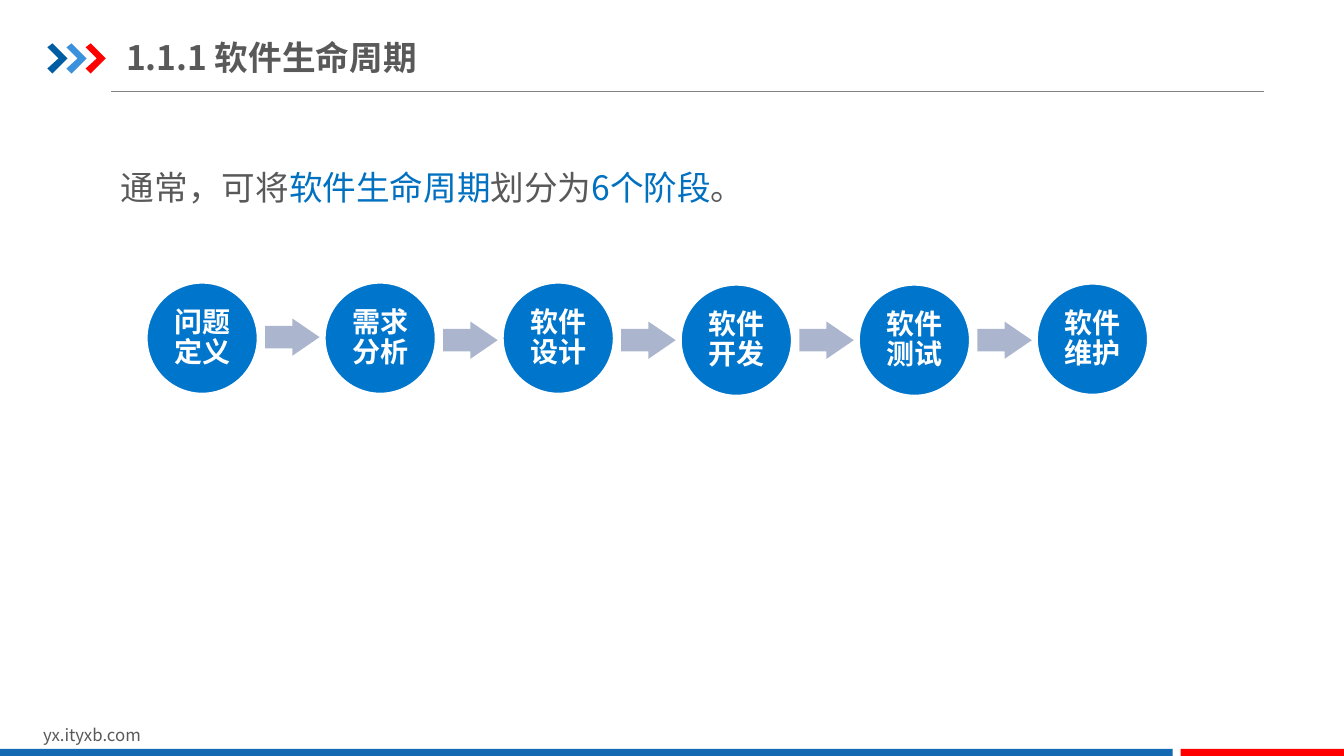
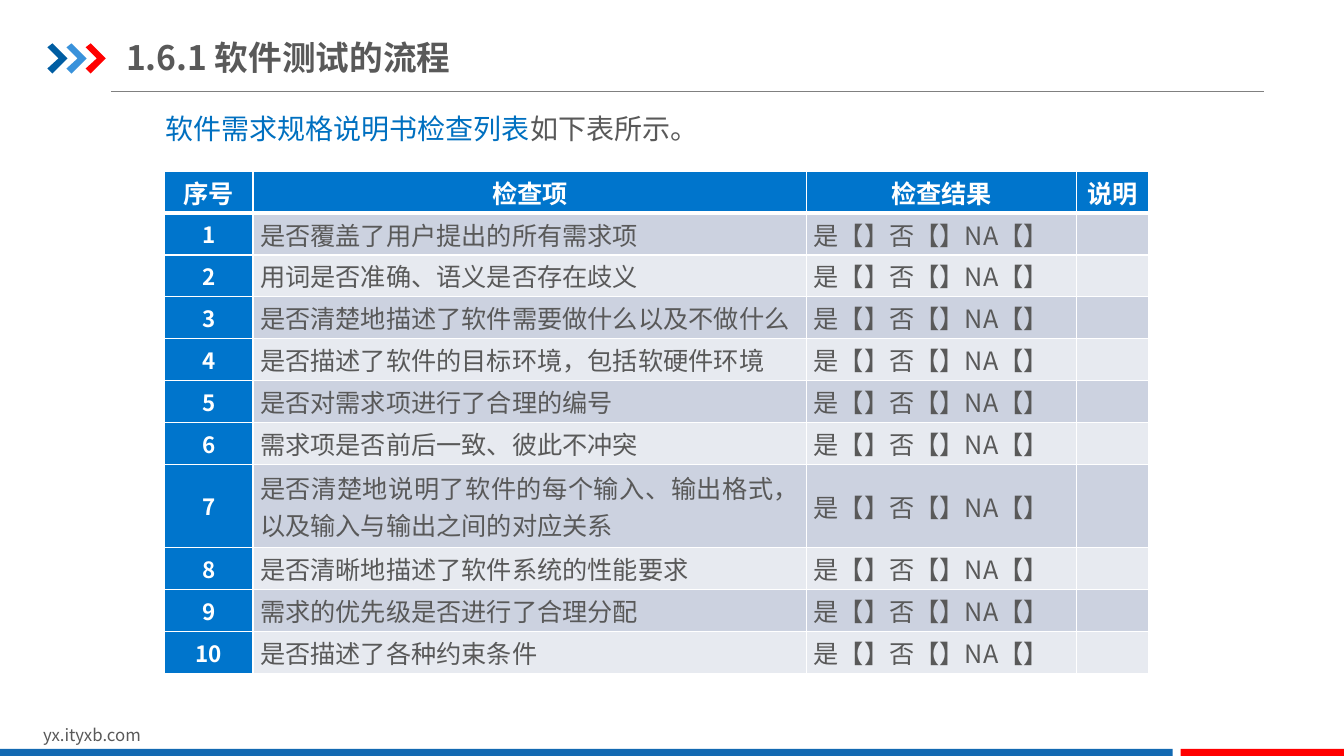
"""Build two slides on the software life cycle and the requirements checklist."""
from dataclasses import dataclass
from typing import Any

from lxml import etree
from pptx import Presentation
from pptx import slide as sl
from pptx import table as tb
from pptx import util as u
from pptx.dml import color as dc
from pptx.enum import shapes, text
from pptx.oxml import ns
from pptx.shapes import autoshape as au
from pptx.text import text as tx

FONT = "Noto Sans CJK SC"
COLORS = {
    "white": "FFFFFF", "text": "595959", "accent": "0070C0", "rule": "808080",
    "primary": "0075CC", "arrow": "ABB6CE", "band": "1369B2", "red": "FF0000",
    "navy": "005DA2", "sky": "3992DB", "odd": "CCD2E0", "even": "E7EAF0",
}
CHEVRON_COLORS = ("navy", "sky", "red")
CHEVRON_POINTS = ((0, 0.47), (0.05, 0.43), (0.2, 0.58), (0.05, 0.73), (0, 0.68), (0.11, 0.58))
CENTER, JUSTIFY = text.PP_ALIGN.CENTER, text.PP_ALIGN.JUSTIFY
MIDDLE = text.MSO_ANCHOR.MIDDLE
COLUMN_WIDTHS = (0.88, 5.49, 2.68, 0.71)
TABLE_HEIGHT = 4.98
HEADERS = ("序号", "检查项", "检查结果", "说明")
RESULT = "是【】否【】NA【】"
LONG_ITEM = "是否清楚地说明了软件的每个输入、输出格式，以及输入与输出之间的对应关系"
CHECK_ITEMS = (
    "是否覆盖了用户提出的所有需求项",
    "用词是否准确、语义是否存在歧义",
    "是否清楚地描述了软件需要做什么以及不做什么",
    "是否描述了软件的目标环境，包括软硬件环境",
    "是否对需求项进行了合理的编号",
    "需求项是否前后一致、彼此不冲突",
    LONG_ITEM,
    "是否清晰地描述了软件系统的性能要求",
    "需求的优先级是否进行了合理分配",
    "是否描述了各种约束条件",
)


@dataclass(frozen=True)
class Box:
    left: float
    top: float
    width: float
    height: float

    def lengths(self) -> tuple[u.Length, ...]:
        return tuple(map(u.Inches, (self.left, self.top, self.width, self.height)))


@dataclass(frozen=True)
class Run:
    words: str
    size: int
    color: str = "text"
    bold: bool = False


@dataclass(frozen=True)
class Stage:
    name: str
    top: float
    arrow_top: float | None = None


STAGES = (
    Stage("问题定义", 2.8, 3.16),
    Stage("需求分析", 2.8, 3.19),
    Stage("软件设计", 2.8, 3.19),
    Stage("软件开发", 2.82, 3.19),
    Stage("软件测试", 2.82, 3.19),
    Stage("软件维护", 2.81),
)
FOOTER_BANDS = ((Box(0, 7.43, 11.63, 0.09), "band"), (Box(11.71, 7.43, 1.63, 0.09), "red"))


def rgb(name: str) -> dc.RGBColor:
    return dc.RGBColor.from_string(COLORS[name])


def set_format(target: Any, **values: Any) -> None:
    for name, value in values.items():
        setattr(target, name, value)


def margins(horizontal: float, vertical: float) -> dict[str, u.Length]:
    return {
        "margin_left": u.Inches(horizontal), "margin_right": u.Inches(horizontal),
        "margin_top": u.Inches(vertical), "margin_bottom": u.Inches(vertical),
    }


def write(frame: tx.TextFrame, runs: tuple[Run, ...], **paragraph_format: Any) -> None:
    paragraph = frame.paragraphs[0]
    set_format(paragraph, **paragraph_format)
    for item in runs:
        run = paragraph.add_run()
        run.text = item.words
        set_format(run.font, name=FONT, size=u.Pt(item.size), bold=item.bold)
        run.font.color.rgb = rgb(item.color)
        east_asian = etree.Element(ns.qn("a:ea"), typeface=FONT)
        run.font._element.find(ns.qn("a:latin")).addnext(east_asian)


def add_text(slide: sl.Slide, box: Box, runs: tuple[Run, ...],
             frame_format: dict[str, Any], **paragraph_format: Any) -> None:
    frame = slide.shapes.add_textbox(*box.lengths()).text_frame
    set_format(frame, word_wrap=True, **frame_format)
    write(frame, runs, **paragraph_format)


def paint(shape: au.Shape, color: str) -> None:
    shape.shadow.inherit = False
    shape.fill.solid()
    shape.fill.fore_color.rgb = rgb(color)
    shape.line.fill.background()


def add_shape(slide: sl.Slide, kind: shapes.MSO_SHAPE, box: Box, color: str) -> au.Shape:
    shape = slide.shapes.add_shape(kind, *box.lengths())
    paint(shape, color)
    return shape


def add_chevron(slide: sl.Slide, left: float, color: str) -> None:
    points = [(u.Inches(left + x), u.Inches(y)) for x, y in CHEVRON_POINTS]
    builder = slide.shapes.build_freeform(*points[0])
    builder.add_line_segments(points[1:], close=True)
    paint(builder.convert_to_shape(), color)


def add_base_slide(presentation: Any, title: str) -> sl.Slide:
    slide = presentation.slides.add_slide(presentation.slide_layouts[6])
    rule = slide.shapes.add_connector(
        shapes.MSO_CONNECTOR.STRAIGHT, *map(u.Inches, (1.1, 0.91, 12.54, 0.91)))
    rule.line.color.rgb = rgb("rule")
    rule.line.width = u.Pt(0.75)
    etree.SubElement(rule.element.spPr, ns.qn("a:effectLst"))
    for index, color in enumerate(CHEVRON_COLORS):
        add_chevron(slide, 0.47 + 0.19 * index, color)
    add_text(slide, Box(0.33, 7.14, 3.18, 0.3), (Run("yx.ityxb.com", 12),), margins(0.1, 0.05))
    for box, color in FOOTER_BANDS:
        add_shape(slide, shapes.MSO_SHAPE.RECTANGLE, box, color)
    add_text(slide, Box(1.25, 0.29, 5.28, 0.55), (Run(title, 24, bold=True),),
             {"vertical_anchor": MIDDLE, **margins(0, 0.07)})
    return slide


def add_stage(slide: sl.Slide, stage: Stage, left: float) -> None:
    circle = add_shape(slide, shapes.MSO_SHAPE.OVAL, Box(left, stage.top, 1.11, 1.11), "primary")
    circle.line.color.rgb = rgb("white")
    circle.line.width = u.Pt(2)
    set_format(circle.text_frame, word_wrap=True, vertical_anchor=MIDDLE, **margins(0.03, 0.03))
    write(circle.text_frame, (Run(stage.name, 20, "white", True),),
          alignment=CENTER, line_spacing=0.9)
    if stage.arrow_top is not None:
        arrow = add_shape(slide, shapes.MSO_SHAPE.RIGHT_ARROW,
                          Box(left + 1.18, stage.arrow_top, 0.54, 0.37), "arrow")
        arrow.adjustments[0] = 0.6
        arrow.adjustments[1] = 0.73


def add_life_cycle_slide(presentation: Any) -> None:
    slide = add_base_slide(presentation, "1.1.1 软件生命周期")
    sentence = (Run("通常，可将", 24), Run("软件生命周期", 24, "accent"), Run("划分为", 24),
                Run("6个阶段", 24, "accent"), Run("。", 24))
    add_text(slide, Box(1.07, 1.39, 11.42, 0.74), sentence, margins(0.13, 0.07),
             alignment=JUSTIFY, line_spacing=1.5)
    first, last = 1.45, 10.28
    pitch = (last - first) / (len(STAGES) - 1)
    for index, stage in enumerate(STAGES):
        add_stage(slide, stage, first + pitch * index)


def add_borders(cell: tb._Cell, **widths: float) -> None:
    properties = cell._tc.get_or_add_tcPr()
    for side in "LRTB":
        line = etree.SubElement(properties, ns.qn(f"a:ln{side}"),
                                w=str(u.Pt(widths.get(side, 1))))
        fill = etree.SubElement(line, ns.qn("a:solidFill"))
        etree.SubElement(fill, ns.qn("a:srgbClr"), val=COLORS["white"])


def fill_cell(cell: tb._Cell, words: str, row: int, column: int) -> None:
    heading = row == 0 or column == 0
    add_borders(cell, **{0: {"B": 3}, 1: {"T": 3}}.get(row, {}))
    cell.fill.solid()
    cell.fill.fore_color.rgb = rgb("primary" if heading else "odd" if row % 2 else "even")
    set_format(cell, vertical_anchor=MIDDLE, **margins(0.07, 0))
    if words:
        size = 16 if row and column == 0 else 18
        run = Run(words, size, "white" if heading else "text", heading)
        write(cell.text_frame, (run,), alignment=CENTER if heading else JUSTIFY)


def add_checklist_slide(presentation: Any) -> None:
    slide = add_base_slide(presentation, "1.6.1 软件测试的流程")
    rows = [HEADERS] + [(str(number), item, RESULT, "")
                        for number, item in enumerate(CHECK_ITEMS, 1)]
    box = Box(1.63, 1.7, sum(COLUMN_WIDTHS), TABLE_HEIGHT)
    table = slide.shapes.add_table(len(rows), len(HEADERS), *box.lengths()).table
    table.horz_banding = False
    for column, width in zip(table.columns, COLUMN_WIDTHS):
        column.width = u.Inches(width)
    row_height = TABLE_HEIGHT / (len(rows) + 1)
    for row, values in enumerate(rows):
        lines = 2 if LONG_ITEM in values else 1
        table.rows[row].height = u.Inches(row_height * lines)
        for column, words in enumerate(values):
            fill_cell(table.cell(row, column), words, row, column)
    caption = (Run("软件需求规格说明书检查列表", 20, "accent"), Run("如下表所示。", 20))
    add_text(slide, Box(1.54, 0.89, 6.67, 0.6), caption, margins(0.1, 0.05),
             alignment=JUSTIFY, line_spacing=1.5)


def main() -> None:
    presentation = Presentation()
    set_format(presentation, slide_width=u.Inches(13.33), slide_height=u.Inches(7.5))
    add_life_cycle_slide(presentation)
    add_checklist_slide(presentation)
    presentation.save("out.pptx")


if __name__ == "__main__":
    main()
